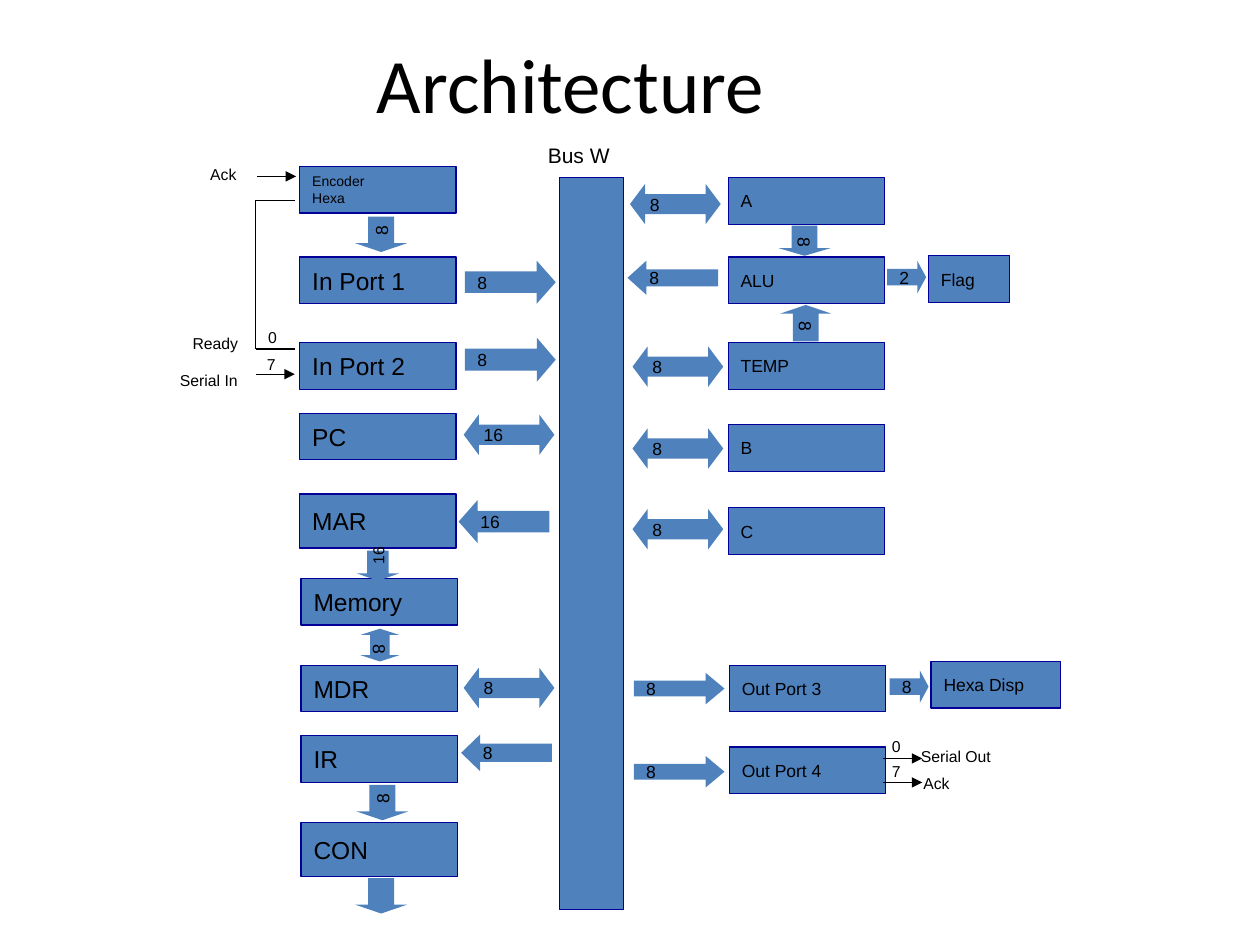
import pptx
import pptx.dml.color
import pptx.enum.dml
import pptx.enum.shapes
import pptx.enum.text
import pptx.oxml
import pptx.oxml.ns
import pptx.util

Inches = pptx.util.Inches
Shape = pptx.enum.shapes.MSO_SHAPE
RIGHT, LEFT, BOTH = Shape.RIGHT_ARROW, Shape.LEFT_ARROW, Shape.LEFT_RIGHT_ARROW


def color(value):
    """Turn a hex string into a colour."""
    return pptx.dml.color.RGBColor.from_string(value)


class Diagram:
    """Hold the style and the current slide, and draw each kind of element."""

    FILL, BORDER, INK = "4F81BD", "000099", "000000"
    FONT, TITLE_FONT = "Arial", "Calibri"
    LINE = 0.75

    def __init__(self, slide):
        self.slide = slide

    def set_text(self, shape, text, size, font=FONT, align=pptx.enum.text.PP_ALIGN.LEFT):
        frame = shape.text_frame
        frame.text = text
        frame.word_wrap = False
        for paragraph in frame.paragraphs:
            paragraph.alignment = align
            paragraph.font.name = font
            paragraph.font.size = pptx.util.Pt(size)
            paragraph.font.color.rgb = color(self.INK)
        return frame

    def shape(self, kind, left, top, width, height):
        shape = self.slide.shapes.add_shape(
            kind, Inches(left), Inches(top), Inches(width), Inches(height))
        shape.shadow.inherit = False
        shape.fill.solid()
        shape.fill.fore_color.rgb = color(self.FILL)
        return shape

    def box(self, text, left, top, width=1.24, height=0.37, size=10):
        shape = self.shape(Shape.RECTANGLE, left, top, width, height)
        shape.line.color.rgb = color(self.BORDER)
        shape.line.width = pptx.util.Pt(self.LINE)
        if text:
            frame = self.set_text(shape, text, size)
            frame.vertical_anchor = pptx.enum.text.MSO_ANCHOR.MIDDLE

    def arrow(self, kind, text, left, top, width, height, head, rotation=0, size=10):
        if rotation:
            left, top = left + (width - height) / 2, top + (height - width) / 2
            width, height = height, width
        shape = self.shape(kind, left, top, width, height)
        shape.rotation = rotation
        shape.adjustments[0] = 0.5
        shape.adjustments[1] = head / min(width, height)
        shape.line.fill.background()
        if text:
            frame = self.set_text(shape, text, size)
            frame.vertical_anchor = pptx.enum.text.MSO_ANCHOR.MIDDLE

    def label(self, text, left, top, width, height=0.26, size=9):
        shape = self.slide.shapes.add_textbox(
            Inches(left), Inches(top), Inches(width), Inches(height))
        frame = self.set_text(shape, text, size)
        frame.auto_size = pptx.enum.text.MSO_AUTO_SIZE.SHAPE_TO_FIT_TEXT

    def title(self, text, left, top, width, height):
        shape = self.slide.shapes.add_textbox(
            Inches(left), Inches(top), Inches(width), Inches(height))
        frame = self.set_text(shape, text, 44, self.TITLE_FONT, pptx.enum.text.PP_ALIGN.CENTER)
        frame.word_wrap = True
        frame.vertical_anchor = pptx.enum.text.MSO_ANCHOR.MIDDLE

    def line(self, start, end, arrowhead=False):
        connector = self.slide.shapes.add_connector(
            pptx.enum.shapes.MSO_CONNECTOR.STRAIGHT, *map(Inches, start + end))
        connector.line.color.rgb = color(self.INK)
        connector.line.width = pptx.util.Pt(self.LINE)
        properties = connector._element.spPr
        if arrowhead:
            tail = pptx.oxml.parse_xml(
                f'<a:tailEnd {pptx.oxml.ns.nsdecls("a")} type="triangle"/>')
            connector.line._get_or_add_ln().append(tail)
        properties.append(pptx.oxml.parse_xml(
            f'<a:effectLst {pptx.oxml.ns.nsdecls("a")}/>'))


def main():
    presentation = pptx.Presentation()
    presentation.slide_width, presentation.slide_height = Inches(10), Inches(7.5)
    diagram = Diagram(presentation.slides.add_slide(presentation.slide_layouts[6]))

    diagram.title("Architecture", 0.03, 0.03, 9, 1.25)
    diagram.box("", 4.44, 1.41, 0.51, 5.81)
    diagram.label("Bus W", 4.25, 1.08, 0.86, 0.31, 12)

    diagram.box("Encoder\nHexa", 2.38, 1.32, size=8)
    for text, left, top, height in [
        ("In Port 1", 2.38, 2.04, 0.37), ("In Port 2", 2.38, 2.72, 0.37),
        ("PC", 2.38, 3.28, 0.37), ("MAR", 2.38, 3.92, 0.43),
        ("Memory", 2.39, 4.59, 0.37), ("MDR", 2.39, 5.28, 0.37),
        ("IR", 2.39, 5.84, 0.37), ("CON", 2.39, 6.53, 0.43),
    ]:
        diagram.box(text, left, top, height=height, size=14)
    for text, left, top in [
        ("A", 5.78, 1.41), ("ALU", 5.78, 2.04), ("TEMP", 5.78, 2.72),
        ("B", 5.78, 3.37), ("C", 5.78, 4.03),
        ("Out Port 3", 5.79, 5.28), ("Out Port 4", 5.79, 5.93),
    ]:
        diagram.box(text, left, top)
    diagram.box("Flag", 7.37, 2.03, 0.64)
    diagram.box("Hexa Disp", 7.39, 5.25, 1.03)

    for kind, text, left, top, height in [
        (RIGHT, "8", 3.69, 2.07, 0.34), (RIGHT, "8", 3.69, 2.68, 0.35),
        (LEFT, "16", 3.64, 3.97, 0.34), (LEFT, "8", 3.66, 5.83, 0.29),
        (LEFT, "8", 4.98, 2.07, 0.27),
        (RIGHT, "8", 5.03, 5.34, 0.25), (RIGHT, "8", 5.03, 6, 0.25),
    ]:
        diagram.arrow(kind, text, left, top, 0.72, height, 0.15)
    for text, left, top in [
        ("16", 3.68, 3.29), ("8", 3.68, 5.3), ("8", 5, 1.46),
        ("8", 5.02, 2.75), ("8", 5.02, 3.4), ("8", 5.02, 4.04),
    ]:
        diagram.arrow(BOTH, text, left, top, 0.72, 0.32, 0.12)
    for text, left, top in [("2", 7.04, 2.07), ("8", 7.06, 5.32)]:
        diagram.arrow(RIGHT, text, left, top, 0.31, 0.26, 0.07)
    for text, left, top in [("8", 2.82, 1.72), ("8", 2.83, 6.23), ("", 2.82, 6.97)]:
        diagram.arrow(LEFT, text, left, top, 0.41, 0.28, 0.07, 270)
    diagram.arrow(LEFT, "16", 2.83, 4.37, 0.34, 0.24, 0.06, 270, 9)
    diagram.arrow(BOTH, "8", 2.86, 4.99, 0.31, 0.26, 0.05, 90)
    diagram.arrow(RIGHT, "8", 6.18, 1.79, 0.41, 0.24, 0.06, 90)
    diagram.arrow(LEFT, "8", 6.19, 2.42, 0.41, 0.29, 0.07, 90)

    ready = [(2.34, 1.59), (2.03, 1.59), (2.03, 2.77), (2.34, 2.77)]
    for start, end in zip(ready, ready[1:]):
        diagram.line(start, end)
    for left, top in [(2.04, 1.4), (2.03, 2.97), (7.01, 6.02), (7.01, 6.21)]:
        diagram.line((left, top), (left + 0.31, top), arrowhead=True)

    for text, left, top, width in [
        ("Ack", 1.57, 1.26, 0.51), ("Ready", 1.43, 2.6, 0.69),
        ("Serial In", 1.33, 2.89, 0.81), ("0", 2.03, 2.55, 0.33),
        ("7", 2.02, 2.77, 0.33), ("0", 6.98, 5.8, 0.33), ("7", 6.98, 6, 0.33),
        ("Serial Out", 7.21, 5.88, 0.94), ("Ack", 7.23, 6.09, 0.51),
    ]:
        diagram.label(text, left, top, width)

    presentation.save("out.pptx")


if __name__ == "__main__":
    main()
